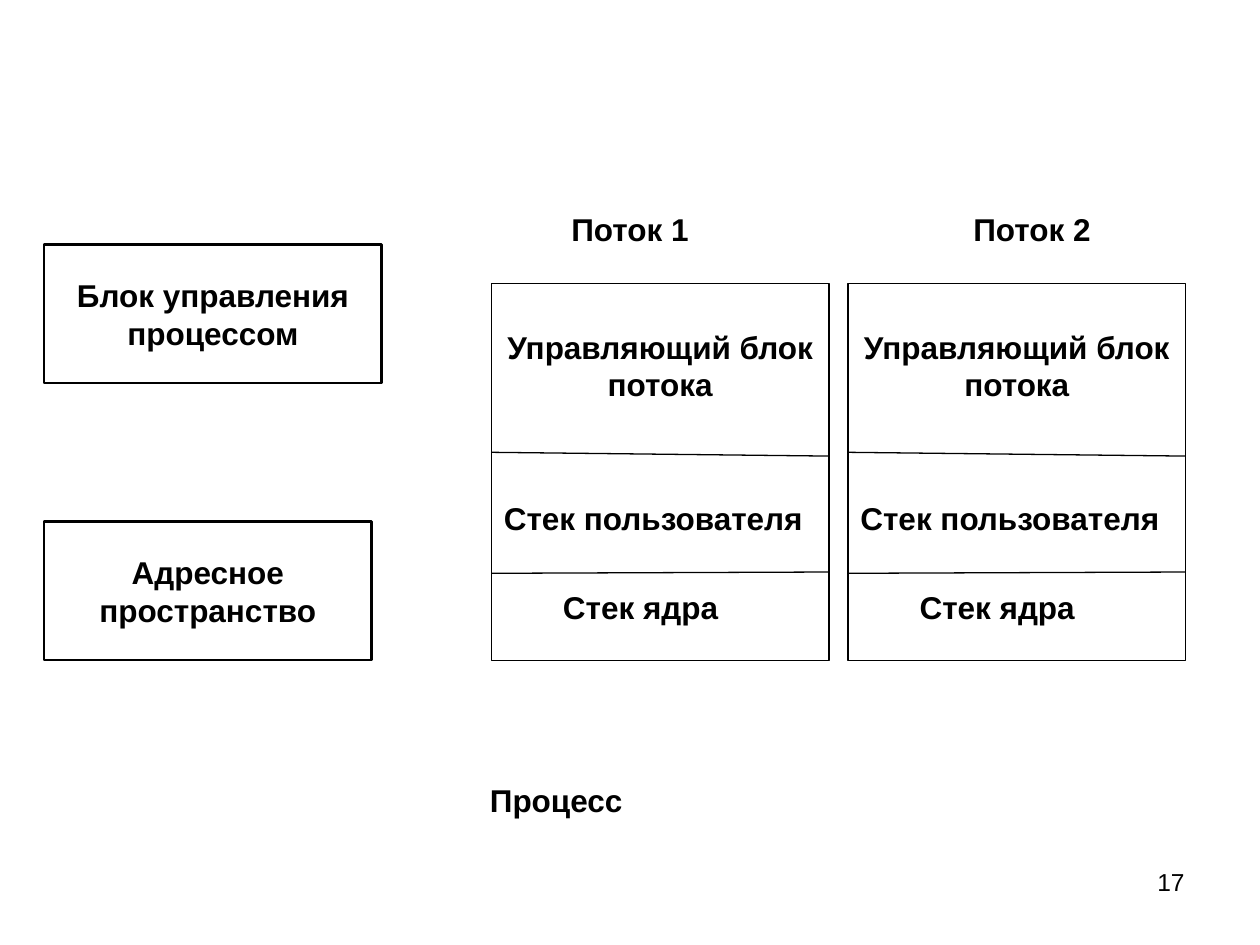
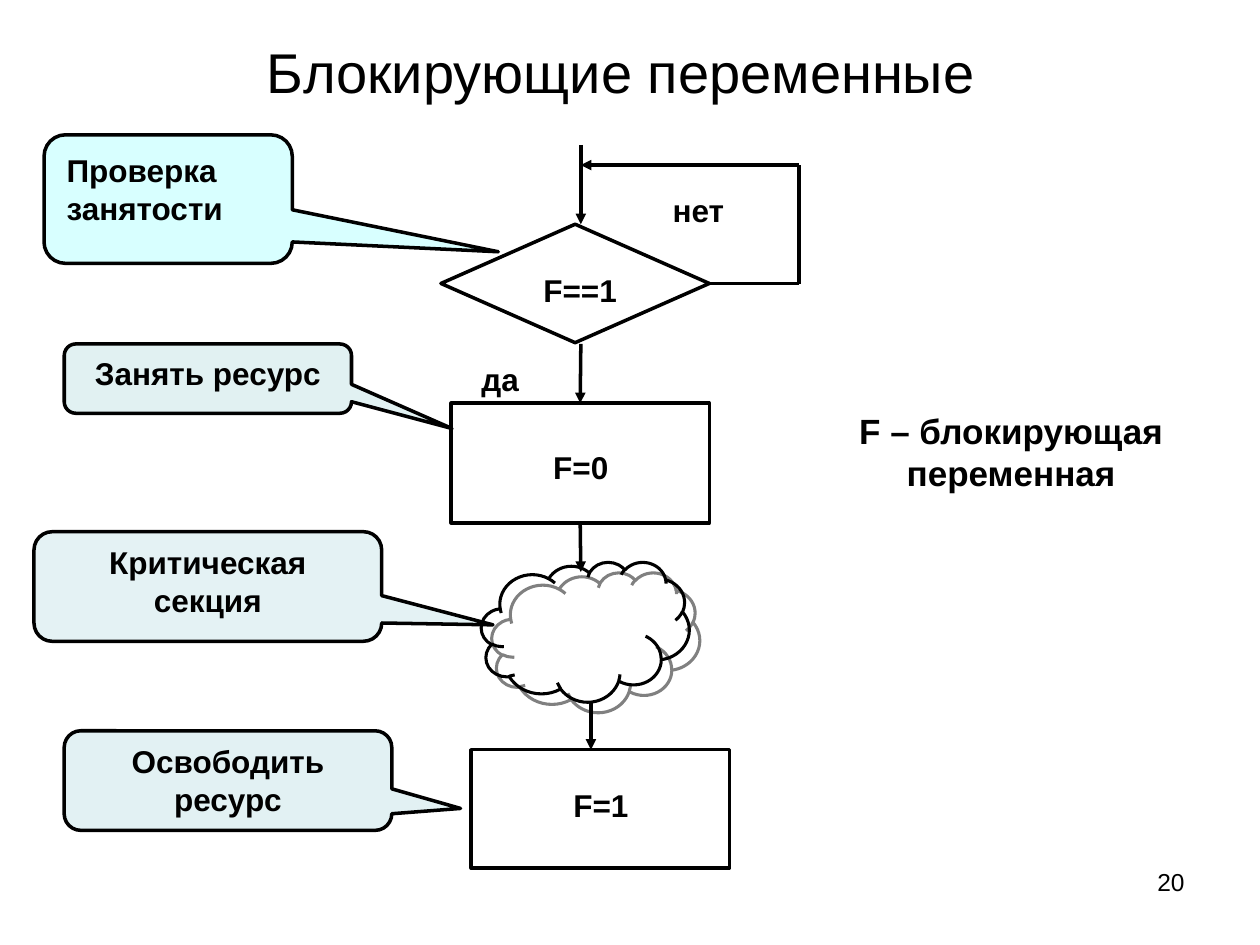
from dataclasses import dataclass
from typing import Optional

from lxml.etree import SubElement
from pptx import Presentation
from pptx.dml.color import RGBColor
from pptx.enum.shapes import MSO_CONNECTOR, MSO_SHAPE
from pptx.enum.text import MSO_ANCHOR, PP_ALIGN
from pptx.oxml.ns import qn
from pptx.util import Inches, Pt

FONT = "Arial"
BLACK, WHITE, GREY = "000000", "FFFFFF", "808080"
AQUA, TEAL = "CCFFFF", "BBE0E3"
LEFT, CENTER, RIGHT = PP_ALIGN.LEFT, PP_ALIGN.CENTER, PP_ALIGN.RIGHT
TOP, MIDDLE = MSO_ANCHOR.TOP, MSO_ANCHOR.MIDDLE


@dataclass
class Box:
    x: float
    y: float
    w: float
    h: float

    def lengths(self) -> list:
        return [Inches(v) for v in (self.x, self.y, self.w, self.h)]


@dataclass
class Label:
    text: str
    box: Box
    align: PP_ALIGN = CENTER
    size: int = 18
    bold: bool = True
    wrap: bool = True


@dataclass
class Callout:
    text: str
    box: Box
    pointer: tuple
    color: str
    alpha: int


@dataclass
class Block:
    text: str
    box: Box
    line: Optional[float] = None
    anchor: MSO_ANCHOR = MIDDLE


def rgb(color: str) -> RGBColor:
    return RGBColor.from_string(color)


def write(tf, text: str, align=CENTER, size=18, bold=True, anchor=TOP, wrap=True) -> None:
    tf.word_wrap = wrap
    tf.vertical_anchor = anchor
    p = tf.paragraphs[0]
    p.alignment = align
    r = p.add_run()
    r.text = text
    r.font.name = FONT
    r.font.size = Pt(size)
    r.font.bold = bold
    r.font.color.rgb = rgb(BLACK)


def add_label(shapes, label: Label) -> None:
    tb = shapes.add_textbox(*label.box.lengths())
    write(tb.text_frame, label.text, label.align, label.size, label.bold, wrap=label.wrap)


def add_figure(shapes, kind, box: Box, fill: Optional[str] = None, line: Optional[float] = 2):
    sp = shapes.add_shape(kind, *box.lengths())
    sp.shadow.inherit = False
    if fill:
        sp.fill.solid()
        sp.fill.fore_color.rgb = rgb(fill)
    else:
        sp.fill.background()
    if line:
        sp.line.color.rgb = rgb(BLACK)
        sp.line.width = Pt(line)
    else:
        sp.line.fill.background()
    return sp


def add_block(shapes, block: Block):
    sp = add_figure(shapes, MSO_SHAPE.RECTANGLE, block.box, WHITE, block.line)
    write(sp.text_frame, block.text, anchor=block.anchor)
    return sp


def add_line(shapes, start: tuple, end: tuple, width: float = 2, arrow: bool = False):
    cx = shapes.add_connector(MSO_CONNECTOR.STRAIGHT, *[Inches(v) for v in start + end])
    cx.line.color.rgb = rgb(BLACK)
    cx.line.width = Pt(width)
    if arrow:
        SubElement(cx.line._get_or_add_ln(), qn("a:tailEnd"), type="triangle")
    SubElement(cx._element.spPr, qn("a:effectLst"))
    return cx


def add_callout(shapes, callout: Callout) -> None:
    sp = add_figure(shapes, MSO_SHAPE.ROUNDED_RECTANGULAR_CALLOUT, callout.box, callout.color)
    sp.adjustments[0], sp.adjustments[1] = callout.pointer
    color = sp._element.spPr.find(qn("a:solidFill"))[0]
    SubElement(color, qn("a:alpha"), val=str(callout.alpha * 1000))
    if callout.text:
        write(sp.text_frame, callout.text)


def add_cloud(shapes, box: Box) -> None:
    sp = add_figure(shapes, MSO_SHAPE.CLOUD, box, line=1.75)
    effects = sp._element.spPr.find(qn("a:effectLst"))
    shadow = SubElement(effects, qn("a:outerShdw"), dist=str(Pt(8.5)), dir="2700000",
                        algn="ctr", rotWithShape="0")
    SubElement(shadow, qn("a:srgbClr"), val=GREY)


def add_slide(prs, layout: int, number: int):
    s = prs.slides.add_slide(prs.slide_layouts[layout])
    add_label(s.shapes, Label(str(number), Box(7.17, 6.83, 2.33, 0.52), RIGHT, 14, False))
    return s


def add_thread(s, x: float) -> None:
    """One thread column: control block, user stack and kernel stack."""
    shapes = s.shapes.add_group_shape().shapes
    width = 2.68
    frame = add_block(shapes, Block("Управляющий блок потока", Box(x, 2.25, width, 2.99), 0.75, TOP))
    frame.text_frame.margin_top = Inches(0.35)
    for y1, y2 in ((3.59, 3.62), (4.55, 4.54)):
        add_line(shapes, (x, y1), (x + width, y2), 0.75)
    add_label(shapes, Label("Стек ядра", Box(x + 0.47, 4.62, 1.43, 0.4), LEFT, wrap=False))
    add_label(shapes, Label("Стек пользователя", Box(x, 3.91, 2.59, 0.4), LEFT, wrap=False))


def build_threads(prs) -> None:
    s = add_slide(prs, 6, 17)
    for block in (
        Block("Блок управления процессом", Box(0.35, 1.94, 2.68, 1.1), 1.5),
        Block("Адресное пространство", Box(0.35, 4.14, 2.6, 1.1), 1.5),
        Block("Поток 1", Box(4.37, 1.62, 1.26, 0.36), anchor=TOP),
        Block("Поток 2", Box(7.6, 1.62, 1.18, 0.36), anchor=TOP),
        Block("Процесс", Box(3.35, 6.03, 2.13, 0.63)),
    ):
        add_block(s.shapes, block)
    for x in (6.73, 3.9):
        add_thread(s, x)


def build_lock(prs) -> None:
    s = add_slide(prs, 5, 20)
    shapes = s.shapes

    # Title
    title = shapes.title
    title.left, title.top, title.width, title.height = Box(0.43, 0.21, 9, 0.71).lengths()
    write(title.text_frame, "Блокирующие переменные", size=32, bold=False, anchor=MIDDLE)

    # Flowchart steps
    check = add_figure(shapes, MSO_SHAPE.FLOWCHART_DECISION, Box(3.5, 1.78, 2.13, 0.94))
    take = add_figure(shapes, MSO_SHAPE.FLOWCHART_PROCESS, Box(3.58, 3.2, 2.05, 0.95))
    add_cloud(shapes, Box(3.82, 4.46, 1.65, 1.11))
    add_figure(shapes, MSO_SHAPE.RECTANGLE, Box(3.74, 5.95, 2.05, 0.94))

    # Flow down the middle
    axis, loop = 4.61, 6.34
    add_line(shapes, (axis, 1.15), (axis, 1.78), arrow=True)
    yes = add_line(shapes, (axis, 2.73), (axis, 3.2), arrow=True)
    yes.end_connect(take, 0)
    taken = add_line(shapes, (axis, 4.14), (axis, 4.54), arrow=True)
    taken.begin_connect(take, 2)
    add_line(shapes, (4.69, 5.56), (4.69, 5.95), arrow=True)

    # Waiting loop
    no = add_line(shapes, (5.63, 2.25), (loop, 2.25))
    no.begin_connect(check, 3)
    add_line(shapes, (loop, 2.25), (loop, 1.31))
    add_line(shapes, (loop, 1.31), (axis, 1.31), arrow=True)

    # Callouts
    for callout in (
        Callout("", Box(0.35, 1.07, 1.97, 1.02), (1.33, 0.41), AQUA, 76),
        Callout("Занять ресурс", Box(0.51, 2.73, 2.28, 0.55), (0.85, 0.72), TEAL, 44),
        Callout("Критическая секция", Box(0.27, 4.22, 2.76, 0.87), (0.82, 0.35), TEAL, 39),
        Callout("Освободить ресурс", Box(0.51, 5.8, 2.6, 0.79), (0.71, 0.28), TEAL, 42),
    ):
        add_callout(shapes, callout)

    # Labels
    for label in (
        Label("F==1", Box(4.21, 2.1, 0.79, 0.4)),
        Label("нет", Box(5.24, 1.47, 0.87, 0.4), LEFT),
        Label("да", Box(3.5, 2.81, 0.94, 0.4)),
        Label("F=0", Box(3.98, 3.51, 1.26, 0.4)),
        Label("F=1", Box(4.06, 6.19, 1.42, 0.4)),
        Label("Проверка занятости", Box(0.43, 1.15, 1.65, 0.7), LEFT),
        Label("F – блокирующая переменная", Box(6.57, 3.2, 2.91, 0.77), size=20),
    ):
        add_label(shapes, label)


def main() -> None:
    prs = Presentation()
    prs.slide_width, prs.slide_height = Inches(10), Inches(7.5)
    build_threads(prs)
    build_lock(prs)
    prs.save("out.pptx")


if __name__ == "__main__":
    main()
